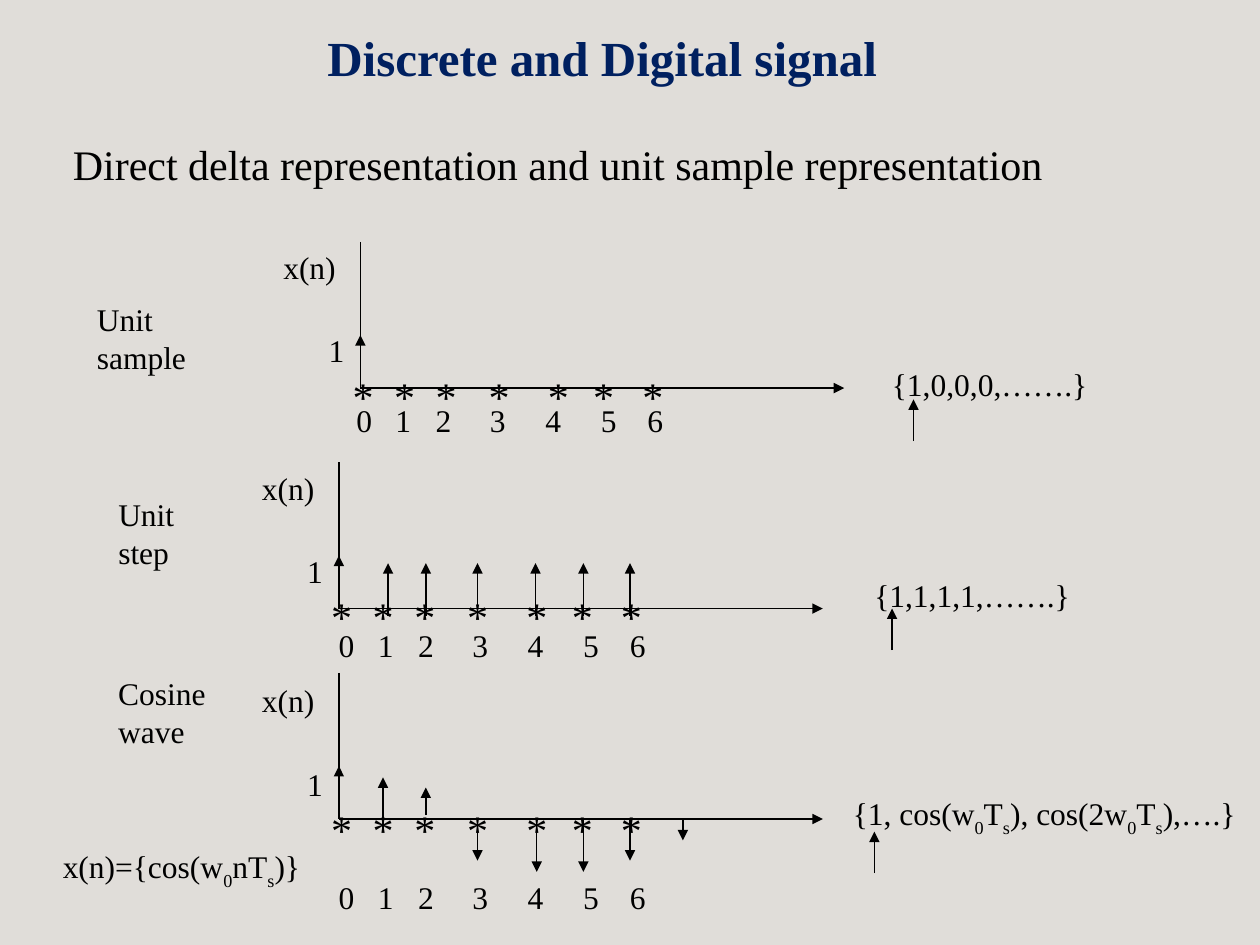
from pptx import Presentation
from pptx.dml.color import RGBColor
from pptx.enum.shapes import MSO_CONNECTOR
from pptx.enum.text import MSO_AUTO_SIZE
from pptx.oxml.ns import qn
from pptx.util import Inches, Pt
from lxml import etree

COLORS = {"background": "E0DDD9", "title": "002060", "ink": "000000"}
SAMPLE_OFFSETS = [0, 0.33, 0.66, 1.08, 1.55, 1.91, 2.3]
INDEX_TABS = [0.31, 0.63, 1.06, 1.5, 1.94, 2.31]
AXIS_LENGTH, AXIS_HEIGHT, UNIT = 3.84, 1.16, 0.42


class SignalSlide:
    font = "Times New Roman"
    line_width = Pt(0.75)

    def __init__(self, presentation):
        self.slide = presentation.slides.add_slide(presentation.slide_layouts[6])
        fill = self.slide.background.fill
        fill.solid()
        fill.fore_color.rgb = RGBColor.from_string(COLORS["background"])

    def text(self, content, left, top, width, height, size=18, color="ink",
             bold=False, wrap=False, before=0, tabs=()):
        """Add a text box; each "_" in content makes the next character a subscript."""
        box = self.slide.shapes.add_textbox(
            Inches(left), Inches(top), Inches(width), Inches(height))
        frame = box.text_frame
        first, *subscripted = content.split("_")
        frame.text = first
        frame.word_wrap = wrap
        frame.auto_size = MSO_AUTO_SIZE.SHAPE_TO_FIT_TEXT
        for part in subscripted:
            subscript = frame.paragraphs[-1].add_run()
            subscript.text = part[0]
            subscript._r.get_or_add_rPr().set("baseline", "-30000")
            frame.paragraphs[-1].add_run().text = part[1:]
        for paragraph in frame.paragraphs:
            paragraph.space_before = Pt(before)
            for run in paragraph.runs:
                run.font.name = self.font
                run.font.size = Pt(size)
                run.font.bold = bold
                run.font.color.rgb = RGBColor.from_string(COLORS[color])
            if tabs:
                stops = etree.SubElement(paragraph._p.get_or_add_pPr(), qn("a:tabLst"))
                for tab in tabs:
                    etree.SubElement(stops, qn("a:tab"), pos=str(Inches(tab)), algn="l")

    def line(self, x1, y1, x2, y2, arrow=True):
        """Draw a straight line, with the arrowhead at its second point."""
        connector = self.slide.shapes.add_connector(
            MSO_CONNECTOR.STRAIGHT, Inches(x1), Inches(y1), Inches(x2), Inches(y2))
        connector.line.width = self.line_width
        connector.line.color.rgb = RGBColor.from_string(COLORS["ink"])
        if arrow:
            etree.SubElement(connector.line._get_or_add_ln(), qn("a:tailEnd"), type="triangle")
        etree.SubElement(connector._element.spPr, qn("a:effectLst"))

    def plot(self, x, y, index_left, index_top, stems, label_shift=0):
        """Draw axes with origin (x, y), sample marks, labels and (x, base, tip) stems."""
        self.line(x, y, x + AXIS_LENGTH, y)
        self.line(x, y - AXIS_HEIGHT, x, y, arrow=False)
        self.line(x, y, x, y - UNIT)
        for offset in SAMPLE_OFFSETS:
            self.text("*", x - 0.16 + offset, y - 0.19 + label_shift, 0.33, 0.5,
                      size=24, wrap=True, before=15)
        for stem_x, base, tip in stems:
            self.line(stem_x, base, stem_x, tip)
        self.text("x(n)", x - 0.71, y - AXIS_HEIGHT + label_shift, 0.65, 0.4)
        self.text("1", x - 0.35, y - 0.5 + label_shift, 0.34, 0.4)
        self.text("\t".join("0123456"), index_left, index_top, 2.64, 0.4,
                  wrap=True, tabs=INDEX_TABS)

    def origin_marker(self, x, tip):
        self.line(x, tip + 0.33, x, tip)


def main():
    presentation = Presentation()
    presentation.slide_width, presentation.slide_height = Inches(10), Inches(7.5)
    signals = SignalSlide(presentation)

    signals.text("Discrete and Digital signal", 2.5, 0.17, 4.83, 0.57,
                 size=28, color="title", bold=True, wrap=True, before=17.5)
    signals.text("Direct delta representation and unit sample representation",
                 0.48, 1.05, 7.94, 0.5, size=24)

    signals.text("Unit\nsample", 0.67, 2.33, 0.95, 0.7)
    signals.plot(2.86, 3.08, 2.73, 3.13, stems=[])
    signals.text("{1,0,0,0,…….}", 6.98, 2.85, 1.79, 0.4)
    signals.origin_marker(7.25, 3.17)

    signals.text("Unit\nstep", 0.84, 3.88, 0.68, 0.7)
    step_stems = [(x, 4.89, 4.47) for x in (3.08, 3.38, 3.79, 4.25, 4.63, 5)]
    signals.plot(2.69, 4.83, 2.59, 4.92, step_stems)
    signals.text("{1,1,1,1,…….}", 6.84, 4.52, 1.79, 0.4)
    signals.origin_marker(7.08, 4.83)

    signals.text("Cosine\nwave", 0.84, 5.3, 0.93, 0.7)
    cosine_stems = [(3.04, 6.58, 6.17), (3.38, 6.47, 6.25), (3.79, 6.5, 6.83),
                    (4.26, 6.5, 6.92), (4.63, 6.5, 6.92), (5, 6.5, 6.83),
                    (5.42, 6.5, 6.67)]
    signals.plot(2.69, 6.5, 2.59, 6.92, cosine_stems, label_shift=0.02)
    signals.text("{1, cos(w_0T_s), cos(2w_0T_s),….}", 6.67, 6.25, 3.33, 0.46, wrap=True)
    signals.text("x(n)={cos(w_0nT_s)}", 0.4, 6.67, 2.27, 0.46, wrap=True)
    signals.origin_marker(6.94, 6.6)

    presentation.save("out.pptx")


if __name__ == "__main__":
    main()
